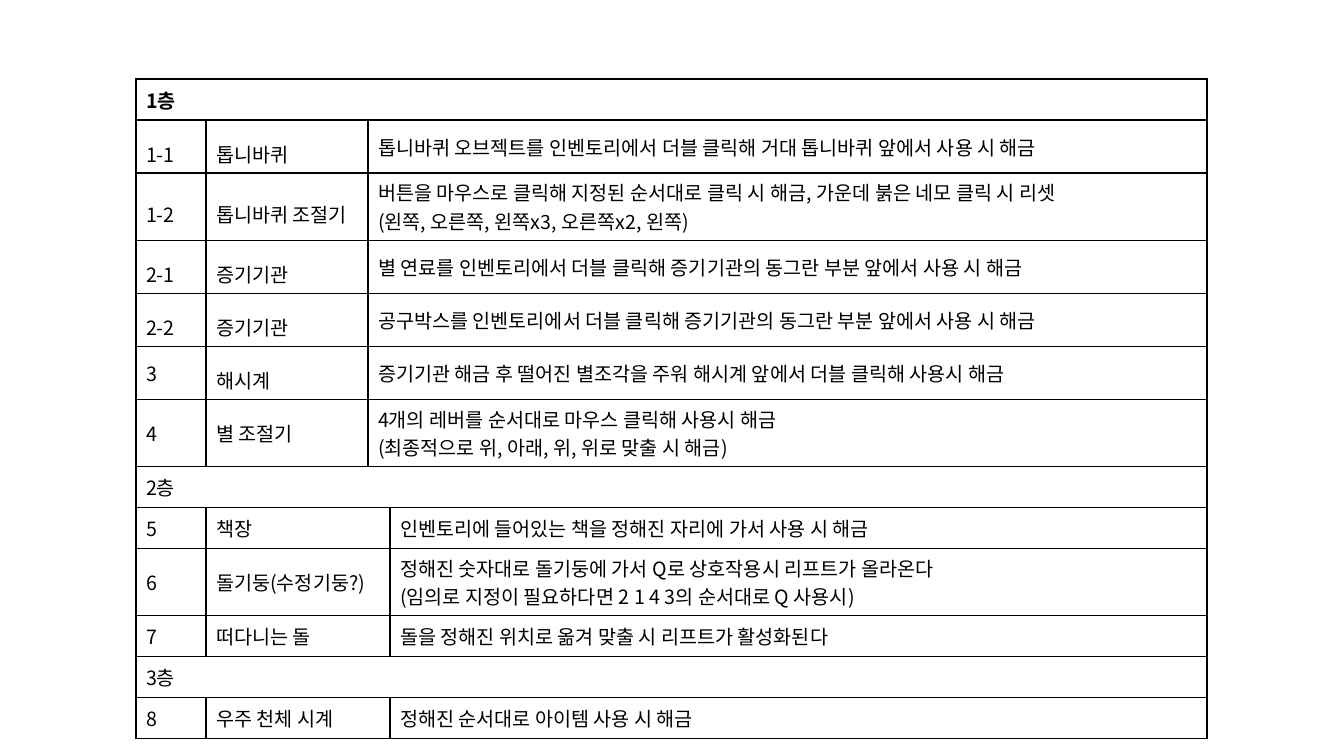
from lxml import etree
from pptx import Presentation
from pptx.dml.color import RGBColor
from pptx.enum.text import MSO_ANCHOR, PP_ALIGN
from pptx.oxml.ns import qn
from pptx.util import Pt

PX = 12192000 / 1344
BLACK = RGBColor(0, 0, 0)
FONT = "Noto Sans CJK KR"
MIDDLE = MSO_ANCHOR.MIDDLE
LEFT = PP_ALIGN.LEFT


def px(n):
    return round(n * PX)


def write_cell(cell, text, loose=False, bold=False):
    cell.vertical_anchor = MIDDLE
    frame = cell.text_frame
    for i, line in enumerate(text.split("\n")):
        para = frame.add_paragraph() if i else frame.paragraphs[0]
        para.alignment = LEFT
        if loose:
            para.line_spacing = 1.5
        run = para.add_run()
        run.text = line
        run.font.name = FONT
        run.font.size = Pt(14)
        run.font.bold = bold
        run.font.color.rgb = BLACK
        etree.SubElement(run.font._element, qn("a:ea"), typeface=FONT)


# Floors, each with its puzzles: number, device, how to unlock it
FLOORS = [
    ("1층", [
        ("1-1", "톱니바퀴", "톱니바퀴 오브젝트를 인벤토리에서 더블 클릭해 거대 톱니바퀴 앞에서 사용 시 해금"),
        ("1-2", "톱니바퀴 조절기",
         "버튼을 마우스로 클릭해 지정된 순서대로 클릭 시 해금, 가운데 붉은 네모 클릭 시 리셋\n"
         "(왼쪽, 오른쪽, 왼쪽x3, 오른쪽x2, 왼쪽)"),
        ("2-1", "증기기관", "별 연료를 인벤토리에서 더블 클릭해 증기기관의 동그란 부분 앞에서 사용 시 해금"),
        ("2-2", "증기기관", "공구박스를 인벤토리에서 더블 클릭해 증기기관의 동그란 부분 앞에서 사용 시 해금"),
        ("3", "해시계", "증기기관 해금 후 떨어진 별조각을 주워 해시계 앞에서 더블 클릭해 사용시 해금"),
        ("4", "별 조절기",
         "4개의 레버를 순서대로 마우스 클릭해 사용시 해금\n"
         "(최종적으로 위, 아래, 위, 위로 맞출 시 해금)"),
    ]),
    ("2층", [
        ("5", "책장", "인벤토리에 들어있는 책을 정해진 자리에 가서 사용 시 해금"),
        ("6", "돌기둥(수정기둥?)",
         "정해진 숫자대로 돌기둥에 가서 Q로 상호작용시 리프트가 올라온다\n"
         "(임의로 지정이 필요하다면 2 1 4 3의 순서대로 Q 사용시)"),
        ("7", "떠다니는 돌", "돌을 정해진 위치로 옮겨 맞출 시 리프트가 활성화된다"),
    ]),
    ("3층", [
        ("8", "우주 천체 시계", "정해진 순서대로 아이템 사용 시 해금"),
    ]),
]
LOOSE_NUMBERS = {"1-1", "1-2", "2-1", "2-2"}
LOOSE_DEVICES = LOOSE_NUMBERS | {"3"}
COLUMN_WIDTHS = [70, 162, 22, 817]
ROW_HEIGHT = 41

prs = Presentation()
prs.slide_width, prs.slide_height = px(1344), px(756)
slide = prs.slides.add_slide(prs.slide_layouts[6])

# Empty puzzle table
row_count = sum(1 + len(puzzles) for _, puzzles in FLOORS)
puzzle_table = slide.shapes.add_table(
    row_count, len(COLUMN_WIDTHS), px(136), px(79),
    px(sum(COLUMN_WIDTHS)), px(ROW_HEIGHT * row_count)).table
puzzle_table.first_row = False
puzzle_table.horz_banding = False
for column, width in zip(puzzle_table.columns, COLUMN_WIDTHS):
    column.width = px(width)
for row in puzzle_table.rows:
    row.height = px(ROW_HEIGHT)

# Clear fills and thin black borders
for cell in puzzle_table.iter_cells():
    cell.fill.background()
    props = cell._tc.get_or_add_tcPr()
    for i, side in enumerate(("a:lnL", "a:lnR", "a:lnT", "a:lnB")):
        border = etree.Element(qn(side), w=str(Pt(1)))
        paint = etree.SubElement(border, qn("a:solidFill"))
        etree.SubElement(paint, qn("a:srgbClr"), val=str(BLACK))
        props.insert(i, border)

# Floor headings span the table; the narrow third column widens
# the unlock text on the first floor and the device name above it
r = 0
for floor_index, (floor, puzzles) in enumerate(FLOORS):
    heading = puzzle_table.cell(r, 0)
    heading.merge(puzzle_table.cell(r, 3))
    write_cell(heading, floor, bold=floor_index == 0)
    r += 1
    for number, device, unlock in puzzles:
        unlock_column = 2 if floor_index == 0 else 3
        wide = puzzle_table.cell(r, unlock_column if floor_index == 0 else 1)
        wide.merge(puzzle_table.cell(r, 3 if floor_index == 0 else 2))
        write_cell(puzzle_table.cell(r, 0), number, number in LOOSE_NUMBERS)
        write_cell(puzzle_table.cell(r, 1), device, number in LOOSE_DEVICES)
        write_cell(puzzle_table.cell(r, unlock_column), unlock)
        r += 1

prs.save("out.pptx")
